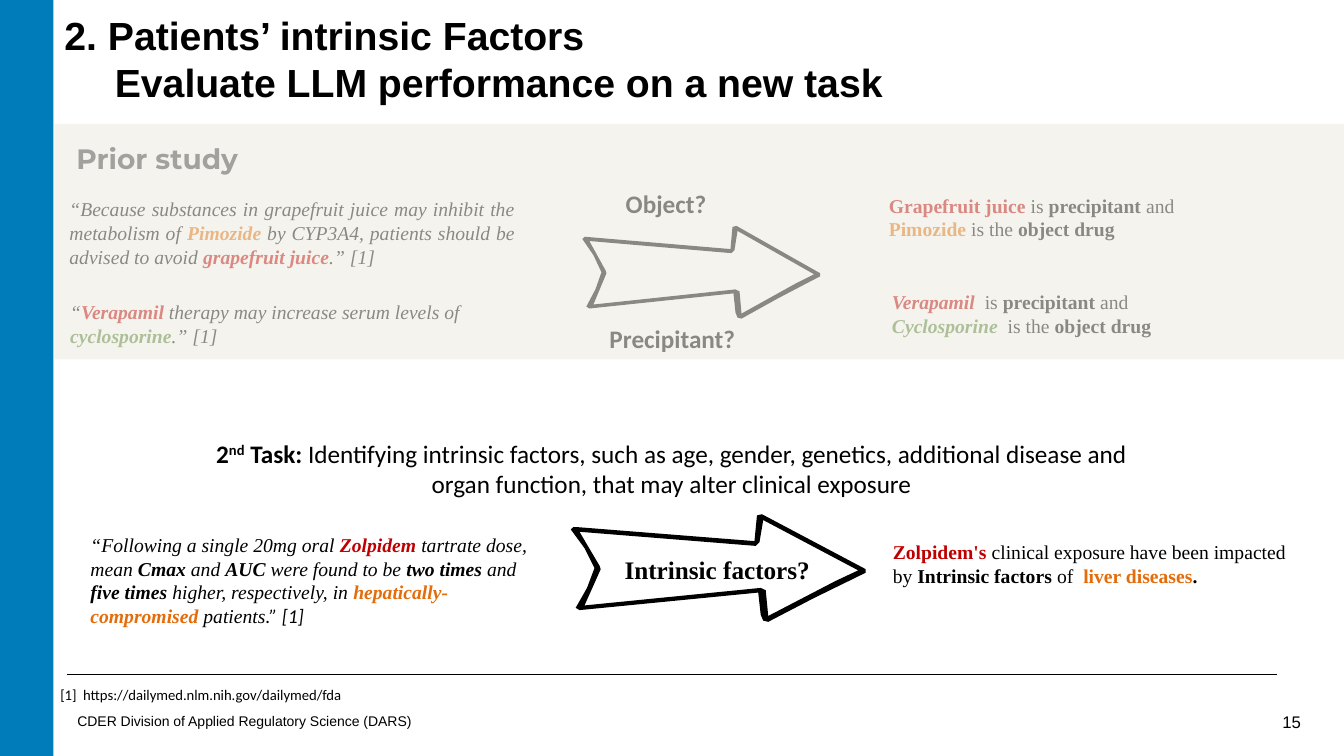
from lxml import etree
from pptx import Presentation, util as u
from pptx.dml.color import RGBColor
from pptx.enum import shapes, text
from pptx.oxml.ns import qn

HUES = {"black": "000000", "white": "FFFFFF", "blue": "007CBB", "sand": "EEECE1",
        "slate": "3A3B41", "r": "C00000", "o": "E46C0A", "g": "548235"}
SERIF, SANS = "Times New Roman", "Calibri"

# Run marks: b bold, i italic, s superscript, c sans, r/o/g colours
TITLE = [[("2. Patients’ intrinsic Factors", "b")],
         [("\tEvaluate LLM performance on a new task", "b")]]
FOOT = [
    ((1.7, 17.83, 9.09, 0.69), [("CDER Division of Applied Regulatory Science (DARS)", "")],
     dict(size=10, face="Arial")),
    ((32, 17.81, 1.04, 0.76), [("15", "")],
     dict(size=12, face="Arial", align="RIGHT", wrap=False)),
]
PRIOR = [
    ((1.5, 4.85, 11.73, 2.06), [
        ("“Because substances in grapefruit juice may inhibit the metabolism of ", "i"),
        ("Pimozide", "bio"), (" by CYP3A4, patients should be advised to avoid ", "i"),
        ("grapefruit juice", "bir"), (".” [1]", "i")], dict(align="JUSTIFY")),
    ((22.15, 4.75, 8.53, 1.45), [
        ("Grapefruit juice ", "br"), ("is ", ""), ("precipitant ", "b"), ("and ", ""),
        ("Pimozide", "bo"), (" is the ", ""), ("object drug", "b")], {}),
    ((15.11, 8.03, 3.84, 1.02), [("Precipitant?", "b")], dict(size=18, face=SANS)),
    ((15.52, 4.62, 2.69, 1.02), [("Object?", "b")], dict(size=18, face=SANS)),
    ((1.52, 7.44, 11.73, 1.45), [
        ("“", "i"), ("Verapamil", "bir"), (" therapy may increase serum levels of ", "i"),
        ("cyclosporine", "big"), (".” [1]", "i")], {}),
    ((22.23, 7.19, 8.53, 1.45), [
        ("Verapamil  ", "bir"), ("is ", ""), ("precipitant", "b"), (" and\n", ""),
        ("Cyclosporine ", "big"), (" is the ", ""), ("object drug", "b")], {}),
    ((1.3, 3.45, 5.33, 1.12), [("Prior study", "b")],
     dict(size=20, face="Montserrat", hue="slate", align="CENTER")),
]
TASK = [
    ((4.9, 10.92, 24.05, 1.8), [
        ("2", "b"), ("nd", "bs"), (" Task: ", "b"),
        ("Identifying intrinsic factors, such as age, gender, genetics, additional disease "
         "and organ function, that may alter clinical exposure", "")],
     dict(size=18, face=SANS, align="CENTER")),
    ((22.25, 13.49, 10.67, 1.45), [
        ("Zolpidem's ", "br"), ("clinical exposure have been impacted by ", ""),
        ("Intrinsic factors", "b"), (" of  ", ""), ("liver diseases", "bo"), (".", "b")], {}),
    ((2.03, 13.31, 11.73, 2.64), [
        ("“Following a single 20mg oral ", "i"), ("Zolpidem", "bir"),
        (" tartrate dose, mean ", "i"), ("Cmax ", "bi"), ("and ", "i"), ("AUC", "bi"),
        (" were found to be ", "i"), ("two times ", "bi"), ("and ", "i"),
        ("five times ", "bi"), ("higher, respectively, in ", "i"),
        ("hepatically-compromised ", "bio"), ("patients", "i"), (".” [1]", "ic")], {}),
    ((15.49, 13.84, 5.41, 1.02), [("Intrinsic factors?", "b")], dict(size=18)),
    ((1.27, 17.15, 16.94, 0.74), [("[1]  https://dailymed.nlm.nih.gov/dailymed/fda", "")],
     dict(size=10.5, face=SANS)),
]
BODY = [(15, 19), (33, 50), (19, 83), (21, 84), (162, 70), (164, 71), (166, 93), (169, 93),
        (244, 54), (244, 52), (165, 8), (163, 8), (160, 29), (158, 30), (17, 18)]
OUTER = [(239, 51), (156, 4), (152, 5), (150, 27), (8, 15), (5, 15), (3, 17), (14, 33),
         (22, 50), (16, 67), (7, 84), (10, 86), (153, 71), (155, 90), (157, 95),
         (161, 96), (197, 76), (239, 54)]
INNER = [(215, 61), (161, 91), (159, 69), (155, 67), (14, 82), (27, 51), (26, 48),
         (10, 19), (150, 31), (151, 31), (154, 28), (157, 9), (233, 52)]
UNIT = 0.0254

deck = Presentation()
deck.slide_width, deck.slide_height = u.Cm(33.87), u.Cm(19.05)
slide = deck.slides.add_slide(deck.slide_layouts[5])
tree = slide.shapes


def tint(name):
    return RGBColor.from_string(HUES[name])


def write(frame, paras, size=14, face=SERIF, hue="black", align="LEFT",
          wrap=True, anchor="TOP", tab=None):
    frame.word_wrap = wrap
    frame.auto_size = text.MSO_AUTO_SIZE.NONE
    frame.vertical_anchor = text.MSO_ANCHOR[anchor]
    for n, runs in enumerate(paras):
        para = frame.add_paragraph() if n else frame.paragraphs[0]
        para.alignment = text.PP_ALIGN[align]
        if tab:
            tabs = etree.SubElement(para._p.get_or_add_pPr(), qn("a:tabLst"))
            etree.SubElement(tabs, qn("a:tab"), pos=str(u.Cm(tab)), algn="l")
        for words, marks in runs:
            run = para.add_run()
            run.text = words.rstrip("\n")
            font = run.font
            font.size = u.Pt(size)
            font.name = SANS if "c" in marks else face
            font.bold, font.italic = "b" in marks, "i" in marks
            font.color.rgb = tint(next((m for m in marks if m in "rog"), hue))
            if "s" in marks:
                run._r.get_or_add_rPr().set("baseline", "30000")
            if words.endswith("\n"):
                para.add_line_break()


def boxes(items):
    for place, runs, look in items:
        box = tree.add_textbox(*map(u.Cm, place))
        write(box.text_frame, [runs], **look)


def paint(shape, hue):
    shape.shadow.inherit = False
    shape.fill.solid()
    shape.fill.fore_color.rgb = tint(hue)
    shape.line.fill.background()


def block(place, hue):
    shape = tree.add_shape(shapes.MSO_SHAPE.RECTANGLE, *map(u.Cm, place))
    paint(shape, hue)
    return shape


def arrow(left, top, wide=1, tall=1):
    group = tree.add_group_shape()
    scale = u.Cm(UNIT * wide), u.Cm(UNIT * tall)
    for rings, hue in (([BODY], "white"), ([OUTER, INNER], "black")):
        pen = group.shapes.build_freeform(*rings[0][0], scale=scale)
        for n, ring in enumerate(rings):
            if n:
                pen.move_to(*ring[0])
            pen.add_line_segments(ring[1:], close=True)
        paint(pen.convert_to_shape(u.Cm(left), u.Cm(top)), hue)


block((0, 0, 1.35, 19.05), "blue")
rule = tree.add_connector(shapes.MSO_CONNECTOR.STRAIGHT,
                          *map(u.Cm, (1.7, 16.99, 32.18, 16.99)))
rule.line.color.rgb = tint("black")
rule.line.width = u.Pt(0.5)
etree.SubElement(rule._element.spPr, qn("a:effectLst"))
boxes(FOOT)

head = tree.title
head.left, head.top, head.width, head.height = map(u.Cm, (1.37, 0.18, 30.07, 2.57))
write(head.text_frame, TITLE, size=28, face="Arial", anchor="MIDDLE", tab=1.27)

arrow(14.6, 5.59)
boxes(PRIOR)
band = block((1.37, 3.12, 32.5, 5.94), "sand")
shade = band._element.spPr.find(qn("a:solidFill"))[0]
etree.SubElement(shade, qn("a:alpha"), val="58000")

arrow(14.29, 12.84, 1.24, 1.16)
boxes(TASK)
deck.save("out.pptx")
